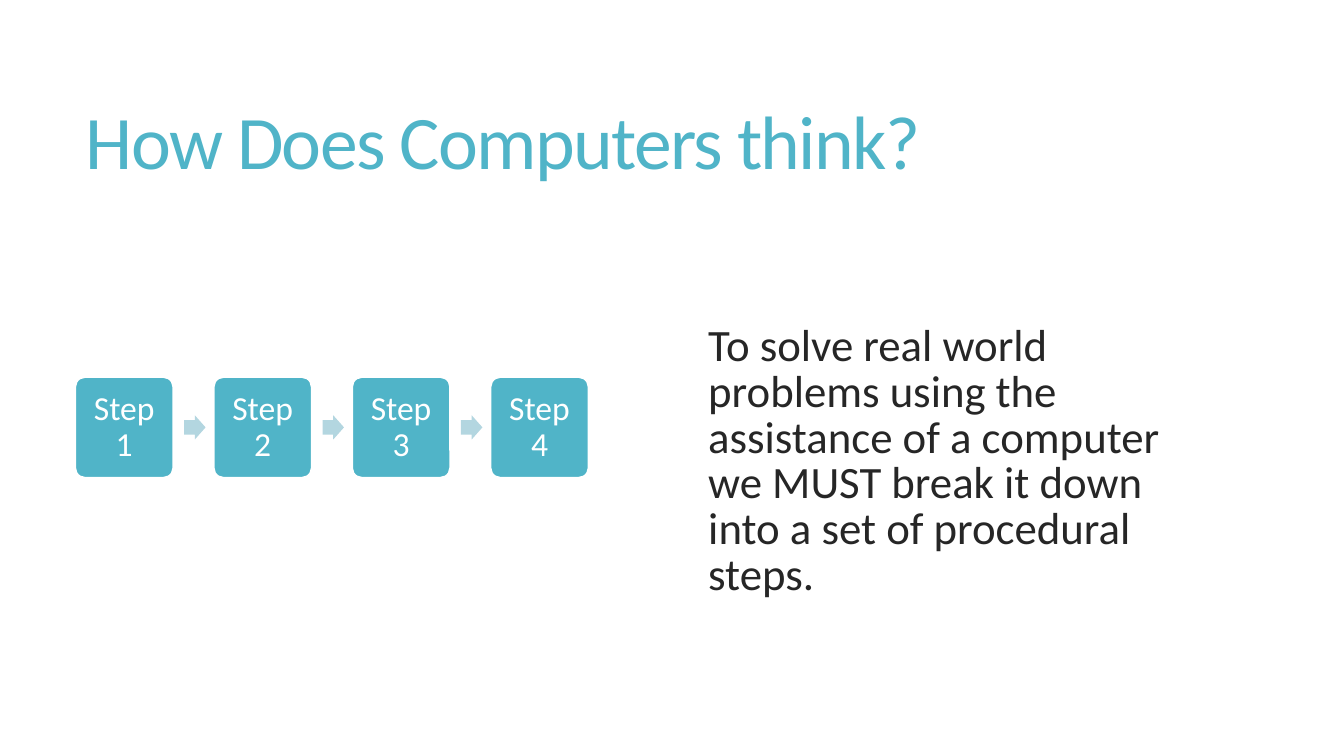
from dataclasses import dataclass

from pptx import Presentation
from pptx.dml.color import RGBColor
from pptx.enum.shapes import MSO_SHAPE as Shape
from pptx.enum.text import MSO_ANCHOR as Anchor, PP_ALIGN as Align
from pptx.util import Inches, Pt


@dataclass(frozen=True)
class Theme:
    font: str = "Calibri"
    accent: RGBColor = RGBColor(0x50, 0xB4, 0xC8)
    arrow: RGBColor = RGBColor(0xB3, 0xD6, 0xE0)
    body: RGBColor = RGBColor(0x26, 0x26, 0x26)
    white: RGBColor = RGBColor(0xFF, 0xFF, 0xFF)
    title_size: float = 40.5
    body_size: float = 24
    step_size: float = 18


THEME = Theme()

# Step row: equal columns, each with a box and an arrow after it (inches)
ROW_LEFT, ROW_MIDDLE, COLUMN = 0.56, 3.18, 1.03
BOX_WIDTH, BOX_HEIGHT = 0.73, 0.75
ARROW_OFFSET, ARROW_WIDTH, ARROW_HEIGHT = 0.81, 0.16, 0.18


def write_text(shape, text, size, color, line_spacing, anchor, margins,
               align=Align.LEFT, tracking=0):
    frame = shape.text_frame
    frame.word_wrap = True
    frame.vertical_anchor = anchor
    (frame.margin_left, frame.margin_top,
     frame.margin_right, frame.margin_bottom) = map(Inches, margins)
    paragraph = frame.paragraphs[0]
    paragraph.alignment = align
    paragraph.line_spacing = line_spacing
    run = paragraph.add_run()
    run.text = text
    run.font.name = THEME.font
    run.font.size = Pt(size)
    run.font.color.rgb = color
    if tracking:
        run._r.get_or_add_rPr().set("spc", str(round(tracking * 100)))


def add_text(slide, box, *text_settings, **options):
    shape = slide.shapes.add_textbox(*map(Inches, box))
    write_text(shape, *text_settings, **options)


def add_block(slide, kind, left, width, height, fill, adjustments):
    """Add a filled shape centred vertically on the step row."""
    top = ROW_MIDDLE - height / 2
    shape = slide.shapes.add_shape(kind, *map(Inches, (left, top, width, height)))
    shape.shadow.inherit = False
    shape.fill.solid()
    shape.fill.fore_color.rgb = fill
    shape.line.fill.background()
    for index, value in enumerate(adjustments):
        shape.adjustments[index] = value
    return shape


def add_step(slide, left, label):
    box = add_block(slide, Shape.ROUNDED_RECTANGLE, left, BOX_WIDTH, BOX_HEIGHT,
                    THEME.accent, [0.1])
    box.line.color.rgb = THEME.white
    box.line.width = Pt(1)
    write_text(box, label, THEME.step_size, THEME.white, 0.9, Anchor.MIDDLE,
               [0.09] * 4, align=Align.CENTER)


def add_arrow(slide, left):
    add_block(slide, Shape.RIGHT_ARROW, left, ARROW_WIDTH, ARROW_HEIGHT,
              THEME.arrow, [0.6, 0.5])


def add_process(slide, labels):
    for column, label in enumerate(labels):
        left = ROW_LEFT + column * COLUMN
        add_step(slide, left, label)
        if column < len(labels) - 1:
            add_arrow(slide, left + ARROW_OFFSET)


def main():
    # Widescreen slide, 16:9
    presentation = Presentation()
    presentation.slide_width = Inches(10)
    presentation.slide_height = presentation.slide_width * 9 // 16
    slide = presentation.slides.add_slide(presentation.slide_layouts[6])

    # Title
    add_text(slide, (0.54, 0.41, 8.84, 1.36), "How Does Computers think?",
             THEME.title_size, THEME.accent, 0.85, Anchor.MIDDLE,
             (0.1, 0.05, 0.1, 0.05), tracking=-0.9)

    # Process on the left
    add_process(slide, [f"Step {number}" for number in range(1, 5)])

    # Explanation on the right, set one line down in its box
    add_text(slide, (5.09, 1.84, 3.83, 3.09),
             "To solve real world problems using the assistance of a computer "
             "we MUST break it down into a set of procedural steps.",
             THEME.body_size, THEME.body, 0.85, Anchor.TOP,
             (0.18, 0.58, 0.1, 0.05))

    presentation.save("out.pptx")


if __name__ == "__main__":
    main()
